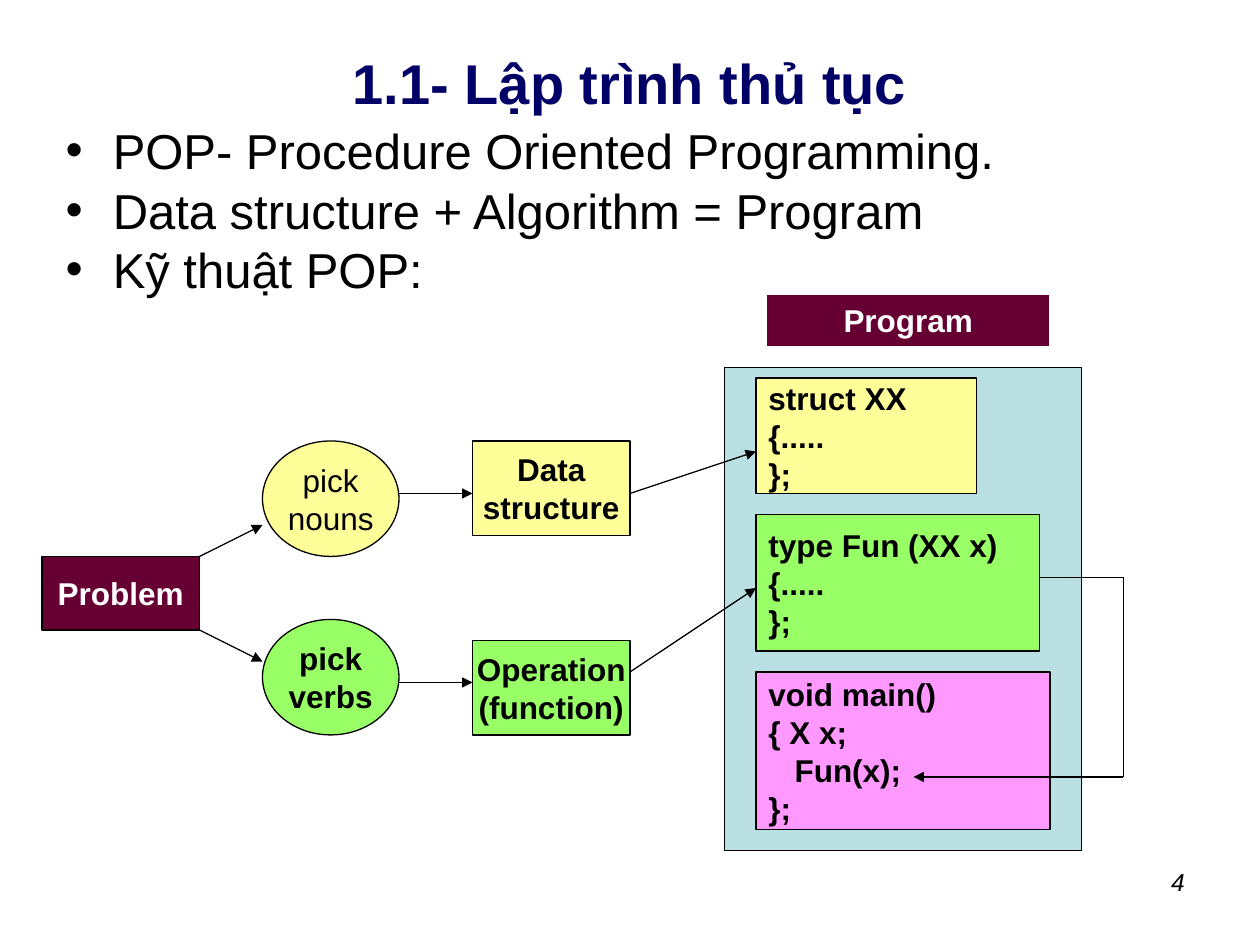
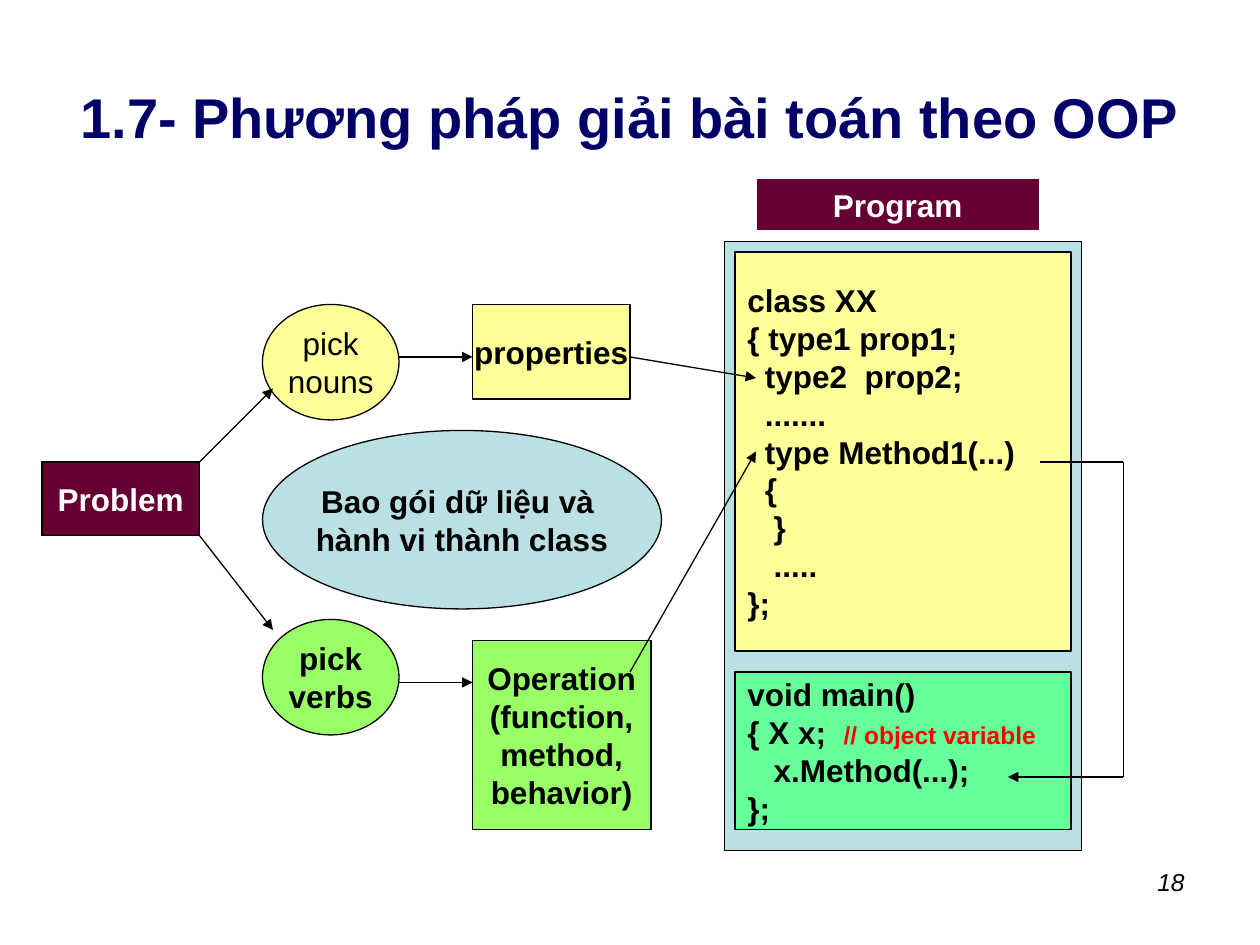
from itertools import pairwise

from lxml.etree import SubElement
from pptx import Presentation
from pptx.dml.color import RGBColor
from pptx.enum.shapes import MSO_CONNECTOR as Connector, MSO_SHAPE as Shape
from pptx.enum.text import MSO_ANCHOR as Anchor, MSO_AUTO_SIZE as AutoSize, PP_ALIGN as Align
from pptx.oxml.ns import qn
from pptx.util import Inches, Pt

FONT = "Arial"
NAVY, MAROON, WHITE, BLACK, RED = "000066", "660033", "FFFFFF", "000000", "FF0000"
YELLOW, GREEN, PINK, MINT, PALE_BLUE = "FFFF99", "99FF66", "FF99FF", "66FF99", "BBE0E3"
GRID = 12  # grid cells to the inch

# Kinds of node: shape, text colour, outline, bold, alignment
KINDS = {
    "label": (Shape.RECTANGLE, WHITE, BLACK, True, Align.CENTER),
    "header": (Shape.RECTANGLE, WHITE, WHITE, True, Align.CENTER),
    "step": (Shape.RECTANGLE, BLACK, BLACK, True, Align.CENTER),
    "code": (Shape.RECTANGLE, BLACK, BLACK, True, Align.LEFT),
    "oval": (Shape.OVAL, BLACK, BLACK, True, Align.CENTER),
    "light oval": (Shape.OVAL, BLACK, BLACK, False, Align.CENTER),
}

# Nodes: kind, fill, (column, row, columns, rows), lines of text
# Routes: points (column, row), with an arrowhead at the last one
SHARED_NODES = [("oval", GREEN, (25, 59, 13, 11), ["pick", "verbs"])]
SHARED_ROUTES = [[(38, 65), (45, 65)]]

SLIDES = [
    {
        "title": "1.1- Lập trình thủ tục",
        "title_height": 0.7,
        "number": "4",
        "bullets": [
            "POP- Procedure Oriented Programming.",
            "Data structure + Algorithm = Program",
            "Kỹ thuật POP:",
        ],
        "nodes": [
            ("label", MAROON, (4, 53, 15, 7), ["Problem"]),
            ("step", YELLOW, (45, 42, 15, 9), ["Data", "structure"]),
            ("step", GREEN, (45, 61, 15, 9), ["Operation", "(function)"]),
            ("header", MAROON, (73, 28, 27, 5), ["Program"]),
            ("step", PALE_BLUE, (69, 35, 34, 46), []),
            ("code", YELLOW, (72, 36, 21, 11), ["struct XX", "{.....", "};"]),
            ("code", GREEN, (72, 49, 27, 13), ["type Fun (XX x)", "{.....", "};"]),
            ("code", PINK, (72, 64, 28, 15),
             ["void main()", "{ X x;", "   Fun(x);", "};"]),
            ("light oval", YELLOW, (25, 42, 13, 11), ["pick", "nouns"]),
        ],
        "routes": [
            [(19, 53), (25, 50)],
            [(38, 47), (45, 47)],
            [(60, 47), (72, 43)],
            [(19, 60), (25, 63)],
            [(60, 64), (72, 56)],
            [(99, 55), (107, 55), (107, 74), (87, 74)],
        ],
    },
    {
        "title": "1.7- Phương pháp giải bài toán theo OOP",
        "title_height": 1.25,
        "number": "18",
        "bullets": [],
        "nodes": [
            ("label", MAROON, (4, 44, 15, 7), ["Problem"]),
            ("step", YELLOW, (45, 29, 15, 9), ["properties"]),
            ("step", GREEN, (45, 61, 17, 18),
             ["Operation", "(function,", "method,", "behavior)"]),
            ("header", MAROON, (72, 17, 27, 5), ["Program"]),
            ("step", PALE_BLUE, (69, 23, 34, 58), []),
            ("code", YELLOW, (70, 24, 32, 38),
             ["class XX", "{ type1 prop1;", "  type2  prop2;", "  .......",
              "  type Method1(...)", "  {", "   }", "   .....", "};"]),
            ("code", MINT, (70, 64, 32, 15),
             ["void main()", "{ X x;  // object variable", "   x.Method(...);", "};"]),
            ("light oval", YELLOW, (25, 29, 13, 11), ["pick", "nouns"]),
            ("oval", PALE_BLUE, (25, 41, 38, 17),
             ["Bao gói dữ liệu và ", "hành vi thành class"]),
        ],
        "routes": [
            [(19, 44), (26, 37)],
            [(38, 34), (45, 34)],
            [(60, 34), (72, 36)],
            [(19, 51), (26, 60)],
            [(60, 64), (72, 43)],
            [(99, 44), (107, 44), (107, 74), (96, 74)],
        ],
    },
]


def rgb(color):
    return RGBColor.from_string(color)


def cells(values):
    return [Inches(value / GRID) for value in values]


def style(font, size, color, bold=False, italic=False):
    font.name, font.size, font.bold, font.italic = FONT, Pt(size), bold, italic
    font.color.rgb = rgb(color)


def place(shape, left, top, width, height):
    shape.left, shape.top = Inches(left), Inches(top)
    shape.width, shape.height = Inches(width), Inches(height)


def paragraphs(frame, lines):
    """Yield each line with the paragraph that is to hold it."""
    for index, line in enumerate(lines):
        yield line, frame.add_paragraph() if index else frame.paragraphs[0]


def add_title(page, text, height):
    title = page.shapes.title
    place(title, 0.5, 0.3, 9, height)
    frame = title.text_frame
    frame.text = text
    frame.vertical_anchor, frame.auto_size = Anchor.MIDDLE, AutoSize.NONE
    para = frame.paragraphs[0]
    para.alignment = Align.CENTER
    style(para.font, 32, NAVY, bold=True)


def add_bullets(page, lines):
    body = page.placeholders[1]
    place(body, 0.42, 1, 9, 1.42)
    frame = body.text_frame
    frame.auto_size = AutoSize.NONE
    for line, para in paragraphs(frame, lines):
        para.text = line
        para.line_spacing = 0.8
        para.space_before = Pt(7 if para is not frame.paragraphs[0] and line != lines[0] else 0)
        style(para.font, 28, BLACK)


def add_node(page, kind, fill, area, lines):
    preset, color, outline, bold, alignment = KINDS[kind]
    node = page.shapes.add_shape(preset, *cells(area))
    node.shadow.inherit = False
    node.fill.solid()
    node.fill.fore_color.rgb = rgb(fill)
    node.line.color.rgb = rgb(outline)
    node.line.width = Pt(0.75)
    frame = node.text_frame
    frame.word_wrap, frame.vertical_anchor = False, Anchor.MIDDLE
    for line, para in paragraphs(frame, lines):
        code, slashes, comment = line.partition("//")
        para.alignment = alignment
        style(para.font, 18, color, bold)
        para.add_run().text = code
        if slashes:
            span = para.add_run()
            span.text = slashes + comment
            style(span.font, 14, RED, bold)


def add_route(page, points):
    for start, end in pairwise(points):
        line = page.shapes.add_connector(Connector.STRAIGHT, *cells(start + end))
        line.line.color.rgb = rgb(BLACK)
        line.line.width = Pt(0.75)
        if end == points[-1]:
            SubElement(line.line._get_or_add_ln(), qn("a:tailEnd"), type="triangle")
        SubElement(line._element.spPr, qn("a:effectLst"))


def add_number(page, number):
    box = page.shapes.add_textbox(*cells((86, 82, 28, 6.2)))
    box.text_frame.word_wrap = True
    para = box.text_frame.paragraphs[0]
    para.text = number
    para.alignment = Align.RIGHT
    style(para.font, 14, BLACK, italic=True)


def main():
    deck = Presentation()
    deck.slide_width, deck.slide_height = Inches(10), Inches(7.5)
    with_body, title_only = deck.slide_layouts[1], deck.slide_layouts[5]
    for content in SLIDES:
        bullets = content["bullets"]
        page = deck.slides.add_slide(with_body if bullets else title_only)
        add_title(page, content["title"], content["title_height"])
        if bullets:
            add_bullets(page, bullets)
        for node in content["nodes"] + SHARED_NODES:
            add_node(page, *node)
        for route in content["routes"] + SHARED_ROUTES:
            add_route(page, route)
        add_number(page, content["number"])
    deck.save("out.pptx")


if __name__ == "__main__":
    main()
